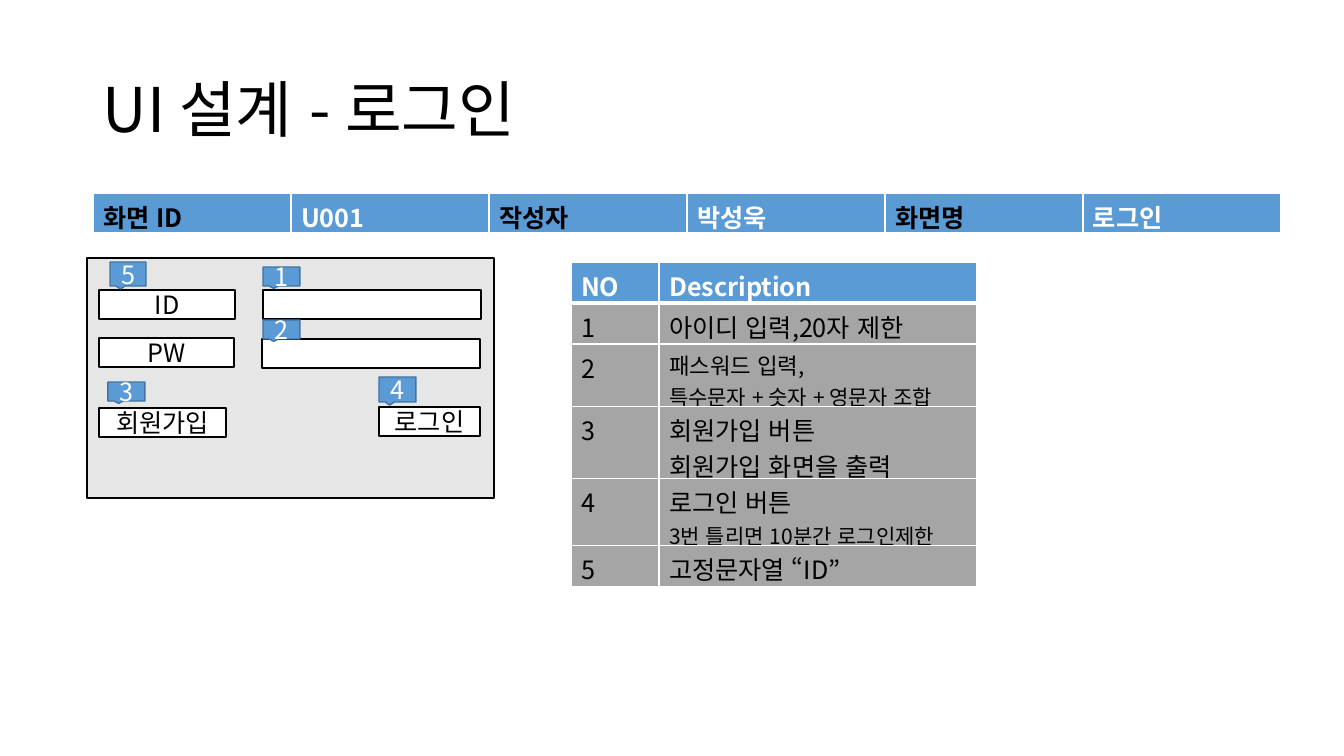
from lxml.etree import SubElement
from pptx import Presentation
from pptx.dml.color import RGBColor
from pptx.enum.lang import MSO_LANGUAGE_ID
from pptx.enum.shapes import MSO_SHAPE
from pptx.enum.text import MSO_ANCHOR, PP_ALIGN
from pptx.oxml.ns import qn
from pptx.util import Pt

FONT = "Noto Sans CJK KR"
BLACK, WHITE, BLUE, NAVY = "000000", "FFFFFF", "5B9BD5", "43739E"
PANEL, GRAY = "E7E6E6", "A5A5A5"


def px(num):
    return round(num * 914400 / 100.8)


def tint(code):
    return RGBColor.from_string(code)


class Page:
    def __init__(self, deck):
        self.slide = deck.slides.add_slide(deck.slide_layouts[6])
        self.shapes = self.slide.shapes

    def text(self, frame, lines, color=BLACK, bold=False, align=PP_ALIGN.LEFT):
        """Each line is a (words, size) pair and fills one paragraph."""
        frame.word_wrap = True
        for i, (words, size) in enumerate(lines):
            para = frame.add_paragraph() if i else frame.paragraphs[0]
            para.alignment = align
            run = para.add_run()
            run.text = words
            font = run.font
            font.size, font.bold, font.name = Pt(size), bold, FONT
            font.color.rgb = tint(color)
            font.language_id = MSO_LANGUAGE_ID.KOREAN
            SubElement(run._r.rPr, qn("a:ea"), typeface=FONT)

    def title(self, words, box):
        frame = self.shapes.add_textbox(*map(px, box)).text_frame
        frame.vertical_anchor = MSO_ANCHOR.MIDDLE
        self.text(frame, [(words, 44)])
        frame.paragraphs[0].line_spacing = 0.9

    def shape(self, box, words="", kind=MSO_SHAPE.RECTANGLE, fill=WHITE,
              edge=BLACK, color=BLACK):
        item = self.shapes.add_shape(kind, *map(px, box))
        item.shadow.inherit = False
        item.fill.solid()
        item.fill.fore_color.rgb = tint(fill)
        item.line.color.rgb = tint(edge)
        item.line.width = Pt(1)
        if words:
            item.text_frame.vertical_anchor = MSO_ANCHOR.MIDDLE
            self.text(item.text_frame, [(words, 18)], color,
                      align=PP_ALIGN.CENTER)

    def badge(self, box, words):
        self.shape(box, words, MSO_SHAPE.RECTANGULAR_CALLOUT, BLUE, NAVY, WHITE)

    def table(self, left, top, cols, rows):
        size = map(px, (left, top, sum(cols), sum(rows)))
        grid = self.shapes.add_table(len(rows), len(cols), *size).table
        grid.first_row = grid.horz_banding = False
        for col, wide in zip(grid.columns, cols):
            col.width = px(wide)
        for row, high in zip(grid.rows, rows):
            row.height = px(high)
        return grid

    def cell(self, cell, lines, color, fill, head=False):
        props = cell._tc.get_or_add_tcPr()
        for side in "LRTB":
            wide = Pt(3 if head and side == "B" else 1)
            line = SubElement(props, qn("a:ln" + side), w=str(wide))
            paint = SubElement(line, qn("a:solidFill"))
            SubElement(paint, qn("a:srgbClr"), val=WHITE)
        cell.fill.solid()
        cell.fill.fore_color.rgb = tint(fill)
        self.text(cell.text_frame, lines, color, head, PP_ALIGN.JUSTIFY)


deck = Presentation()
deck.slide_width, deck.slide_height = px(1344), px(756)
page = Page(deck)

# Login panel and title
page.shape((87, 258, 407, 240), fill=PANEL)
page.title("UI 설계 - 로그인", (93, 40, 1159, 146))

# Screen facts: black labels, white values
facts = ["화면 ID", "U001", "작성자", "박성욱", "화면명", "로그인"]
strip = page.table(93, 193, [198] * len(facts), [41])
for i, fact in enumerate(facts):
    page.cell(strip.cell(0, i), [(fact, 18)], WHITE if i % 2 else BLACK,
              BLUE, head=True)

# Form labels, fields and buttons
for left, top, wide, words in [
    (99, 290, 136, "ID"), (99, 338, 135, "PW"),
    (263, 290, 218, ""), (262, 339, 218, ""),
    (379, 407, 101, "로그인"), (99, 408, 127, "회원가입"),
]:
    page.shape((left, top, wide, 29), words)

# Numbered callouts
badges = [(263, 267, 37, 19), (263, 320, 37, 19), (108, 382, 37, 19),
          (379, 377, 37, 25), (110, 262, 36, 24)]
for num, box in enumerate(badges, 1):
    page.badge(box, str(num))

# Description table
notes = [
    [("아이디 입력,20자 제한", 18)],
    [("패스워드 입력, ", 16), ("특수문자 + 숫자 + 영문자 조합", 15)],
    [("회원가입 버튼", 18), ("회원가입 화면을 출력", 18)],
    [("로그인 버튼", 18), ("3번 틀리면 10분간 로그인제한", 15)],
    [("고정문자열 “ID”", 18)],
]
guide = page.table(571, 262, [88, 318], [41, 41, 62, 72, 67, 41])
for i, name in enumerate(["NO", "Description"]):
    page.cell(guide.cell(0, i), [(name, 18)], WHITE, BLUE, head=True)
for num, lines in enumerate(notes, 1):
    page.cell(guide.cell(num, 0), [(str(num), 18)], BLACK, GRAY)
    page.cell(guide.cell(num, 1), lines, BLACK, GRAY)

deck.save("out.pptx")
